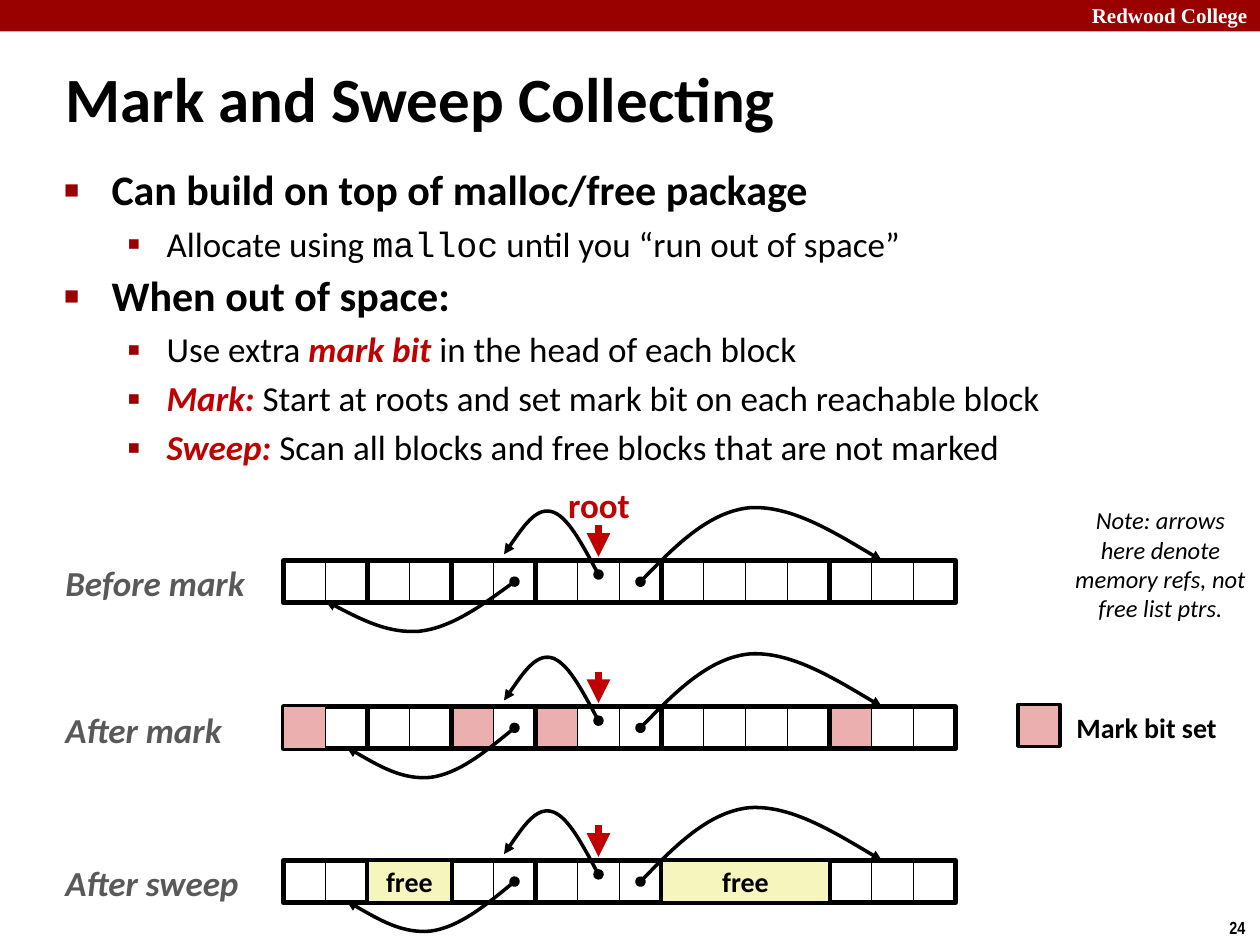
from lxml.etree import SubElement as Sub
from pptx import Presentation
from pptx.dml.color import RGBColor as RGB
from pptx.enum.shapes import MSO_CONNECTOR as Link, MSO_SHAPE as Form
from pptx.enum.text import MSO_ANCHOR as Anchor, MSO_AUTO_SIZE as Fit, PP_ALIGN as Align
from pptx.oxml.ns import qn
from pptx.util import Inches, Pt

HUE = {"band": "990000", "red": "C00000", "ink": "000000", "gray": "595959",
       "pink": "EBAFAF", "cream": "F6F5BD", "white": "FFFFFF"}
CELL = 1 / 3
LEFT = 2.25


def add_run(para, text, size, hue="ink", bold=False, slant=False, face="Calibri"):
    """Append one formatted run to a paragraph."""
    run = para.add_run()
    run.text = text
    font = run.font
    font.name, font.size, font.bold, font.italic = face, Pt(size), bold, slant
    font.color.rgb = RGB.from_string(HUE[hue])


def add_rect(home, x, y, w, h, fill=None, width=0):
    """Add a rectangle, filled or hollow, with a black or no outline."""
    rect = home.add_shape(Form.RECTANGLE, Inches(x), Inches(y), Inches(w), Inches(h))
    rect.shadow.inherit = False
    if fill:
        rect.fill.solid()
        rect.fill.fore_color.rgb = RGB.from_string(HUE[fill])
    else:
        rect.fill.background()
    if width:
        rect.line.color.rgb = RGB.from_string(HUE["ink"])
        rect.line.width = Pt(width)
    else:
        rect.line.fill.background()
    return rect


deck = Presentation()
deck.slide_width, deck.slide_height = Inches(10), Inches(7.5)
slide = deck.slides.add_slide(deck.slide_layouts[1])
shapes = slide.shapes
add_rect(shapes, 0, 0, 10, 0.25, "band")

# Title and list
title, body = shapes.title, slide.placeholders[1]
for holder, (x, y, w, h) in ((title, (0.42, 0.5, 7.82, 0.63)),
                             (body, (0.41, 1.28, 9.09, 2.63))):
    holder.left, holder.top, holder.width, holder.height = map(Inches, (x, y, w, h))
    holder.text_frame.auto_size = Fit.NONE
title.text_frame.vertical_anchor = Anchor.MIDDLE
para = title.text_frame.paragraphs[0]
para.alignment, para.line_spacing = Align.LEFT, 0.87
add_run(para, "Mark and Sweep Collecting", 36, bold=True)

plain, code = {}, {"face": "Courier New"}
strong, key = {"bold": True}, {"hue": "red", "bold": True, "slant": True}
items = [
    (0, [("Can build on top of malloc/free package", strong)]),
    (1, [("Allocate using ", plain), ("malloc", code),
         (" until you “run out of space”", plain)]),
    (0, [("When out of space:", strong)]),
    (1, [("Use extra ", plain), ("mark bit ", key),
         ("in the head of each block", plain)]),
    (1, [("Mark: ", key),
         ("Start at roots and set mark bit on each reachable block", plain)]),
    (1, [("Sweep: ", key),
         ("Scan all blocks and free blocks that are not marked", plain)]),
]
for n, (level, runs) in enumerate(items):
    frame = body.text_frame
    para = frame.add_paragraph() if n else frame.paragraphs[0]
    para.level = level
    para.line_spacing = (0.95, 1.0)[level]
    props = para._p.get_or_add_pPr()
    Sub(Sub(props, qn("a:buClr")), qn("a:srgbClr"), val=HUE["band"])
    Sub(props, qn("a:buSzPct"), val=("60000", "110000")[level])
    Sub(props, qn("a:buChar"), char="■▪"[level])
    for text, style in runs:
        add_run(para, text, (24, 20)[level], **style)

# Heap rows: all columns and heights below are counted in cells
blocks = [(0, 2), (2, 2), (4, 2), (6, 3), (9, 4), (13, 3)]
rows = [
    # name, top, label width, end of low arrow, marks under, marks over, free blocks
    ("Before mark", 4.45, 1.64, 1, [], [], []),
    ("After mark", 5.61, 1.46, 1.5, [13, 6, 4], [0], []),
    ("After sweep", 6.83, 1.61, 1.5, [], [], [(9, 4), (2, 2)]),
]
texts = []
for name, top, wide, end, under, over, free in rows:
    group = shapes.add_group_shape().shapes
    for col in under:
        add_rect(group, LEFT + col * CELL, top, CELL, CELL, "pink", 0.75)

    curves = [
        ([7.5 - 2.25 * i / 6 for i in range(7)],
         [0.33, -0.36, -1.08, -1.17, -1.26, -0.69, -0.15]),
        ([8.5, 9.3, 10.15, 11.1, 12.05, 13.15, 14.25],
         [0.5, -0.33, -1.17, -1.26, -1.32, -0.66, 0]),
        ([5.5 - (5.5 - end) * i / 6 for i in range(7)],
         [0.5, 1.05, 1.59, 1.68, 1.74, 1.35, 0.96]),
    ]
    for cols, highs in curves:
        dots = [(Inches(LEFT + c * CELL), Inches(top + h * CELL))
                for c, h in zip(cols, highs)]
        pen = group.build_freeform(*dots[0])
        pen.add_line_segments(dots[1:], close=False)
        curve = pen.convert_to_shape()
        curve.shadow.inherit = False
        curve.fill.background()
        curve.line.color.rgb = RGB.from_string(HUE["ink"])
        curve.line.width = Pt(2)
        ln = curve.line._get_or_add_ln()
        Sub(ln, qn("a:headEnd"), type="oval")
        Sub(ln, qn("a:tailEnd"), type="triangle")
        # Every three segments become one cubic curve
        track = next(curve._element.iter(qn("a:path")))
        steps = track.findall(qn("a:lnTo"))
        for i in range(0, len(steps), 3):
            cubic = Sub(track, qn("a:cubicBezTo"))
            for step in steps[i:i + 3]:
                cubic.append(step[0])
                track.remove(step)

    for col, span in blocks:
        add_rect(group, LEFT + col * CELL, top, span * CELL, CELL, width=3)
    mid = LEFT + 7.5 * CELL
    lines = [(mid, top - 0.28, top - 0.03, "red", 4.5)]
    lines += [(LEFT + (col + i) * CELL, top, top + CELL, "ink", 0.5)
              for col, span in blocks for i in range(1, span)]
    for x, y, low, hue, width in lines:
        line = group.add_connector(Link.STRAIGHT, Inches(x), Inches(y),
                                   Inches(x), Inches(low))
        line.line.color.rgb = RGB.from_string(HUE[hue])
        line.line.width = Pt(width)
        if hue == "red":
            Sub(line.line._get_or_add_ln(), qn("a:tailEnd"), type="triangle")
        Sub(line._element.spPr, qn("a:effectLst"))

    for col in over:
        add_rect(group, LEFT + col * CELL, top, CELL, CELL, "pink", 0.75)
    for col, span in free:
        frame = add_rect(group, LEFT + col * CELL, top, span * CELL, CELL,
                         "cream", 2).text_frame
        frame.word_wrap, frame.vertical_anchor = False, Anchor.MIDDLE
        frame.paragraphs[0].alignment = Align.CENTER
        add_run(frame.paragraphs[0], "free", 16, bold=True)
    texts.append((group, (0.42, top - 0.04, wide, 0.44), name, Align.LEFT, False,
                  (20, "gray", True, True)))

# Legend, note and page furniture
add_rect(shapes, 8.08, 5.59, CELL, CELL, "pink", 2)
texts += [
    (shapes, (4.41, 3.79, 0.69, 0.44), "root", Align.LEFT, False, (20, "red", True)),
    (shapes, (8.44, 5.59, 1.32, 0.37), "Mark bit set", Align.CENTER, False,
     (16, "ink", True)),
    (shapes, (8.42, 3.96, 1.58, 1.04),
     "Note: arrows here denote memory refs, not free list ptrs.",
     Align.CENTER, True, (14, "ink", False, True)),
    (shapes, (8, -0.03, 2, 0.3), "Redwood College", Align.RIGHT, True,
     (12, "white", True, False, "Times New Roman")),
    (shapes, (9.66, 7.23, 0.34, 0.27), "24", Align.LEFT, False,
     (10, "ink", True, False, "Arial Narrow")),
]
for home, place, text, align, wrap, style in texts:
    frame = home.add_textbox(*map(Inches, place)).text_frame
    frame.word_wrap, frame.auto_size = wrap, Fit.SHAPE_TO_FIT_TEXT
    frame.paragraphs[0].alignment = align
    add_run(frame.paragraphs[0], text, *style)

deck.save("out.pptx")
